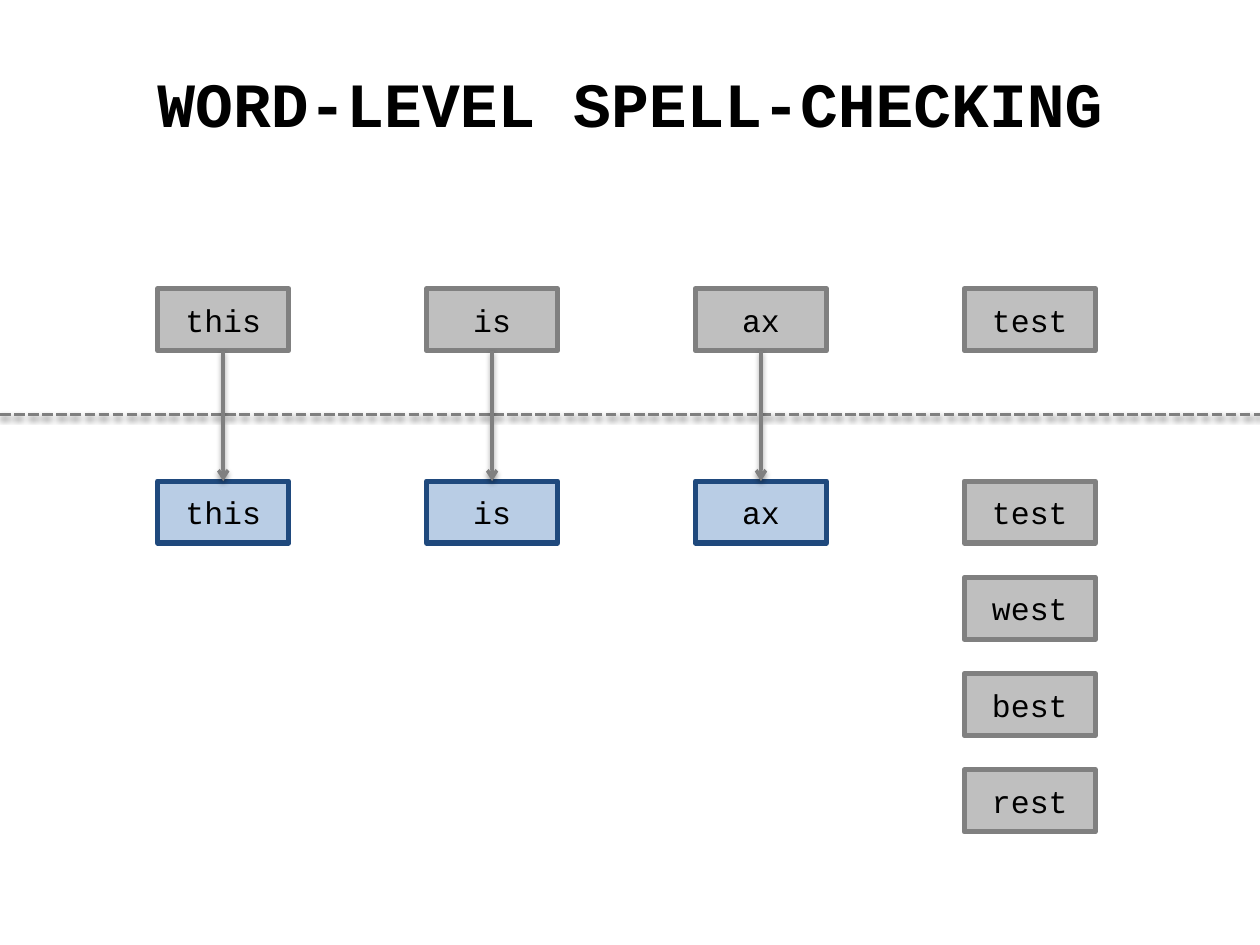
import pptx
import pptx.dml.color
import pptx.enum.dml
import pptx.enum.shapes
import pptx.enum.text
import pptx.oxml
import pptx.oxml.ns
import pptx.util
from pptx.util import Cm

RGBColor = pptx.dml.color.RGBColor
BLACK = RGBColor(0x00, 0x00, 0x00)
LIGHT_GREY = RGBColor(0xBF, 0xBF, 0xBF)
GREY = RGBColor(0x80, 0x80, 0x80)
DIVIDER_GREY = RGBColor(0x7F, 0x7F, 0x7F)
LIGHT_BLUE = RGBColor(0xB9, 0xCD, 0xE5)
DARK_BLUE = RGBColor(0x1F, 0x49, 0x7D)

SLIDE_WIDTH, SLIDE_HEIGHT = Cm(25.4), Cm(19.05)
BOX_WIDTH, BOX_HEIGHT = Cm(2.64), Cm(1.25)
LEFT, COLUMN_STEP = Cm(3.18), Cm(5.42)
TOP, ROW_STEP = Cm(5.82), Cm(1.94)
DIVIDER_Y = Cm(8.36)
CANDIDATE_ROW = 2

SHADOW = (
    f'<a:effectLst {pptx.oxml.ns.nsdecls("a")}>'
    '<a:outerShdw blurRad="40000" dist="20000" dir="5400000" rotWithShape="0">'
    '<a:srgbClr val="000000"><a:alpha val="38000"/></a:srgbClr>'
    '</a:outerShdw></a:effectLst>'
)
ARROWHEAD = f'<a:tailEnd {pptx.oxml.ns.nsdecls("a")} type="arrow"/>'


def write_text(shape, text, size, bold=False):
    """Put one centred line of text into a shape."""
    para = shape.text_frame.paragraphs[0]
    para.alignment = pptx.enum.text.PP_ALIGN.CENTER
    span = para.add_run()
    span.text = text
    span.font.color.rgb = BLACK
    font_format = {"name": "Courier New", "size": pptx.util.Pt(size), "bold": bold}
    for name, value in font_format.items():
        setattr(span.font, name, value)


def add_line(page, start, end, color):
    """Draw a straight line with a soft shadow below it."""
    line = page.shapes.add_connector(
        pptx.enum.shapes.MSO_CONNECTOR.STRAIGHT, *start, *end)
    line.line.color.rgb = color
    line.line.width = pptx.util.Pt(2)
    line._element.spPr.append(pptx.oxml.parse_xml(SHADOW))
    return line


deck = pptx.Presentation()
deck.slide_width, deck.slide_height = SLIDE_WIDTH, SLIDE_HEIGHT
page = deck.slides.add_slide(deck.slide_layouts[6])

title = page.shapes.add_textbox(0, Cm(0.94), SLIDE_WIDTH, Cm(1.8))
title_format = {
    "word_wrap": True,
    "auto_size": pptx.enum.text.MSO_AUTO_SIZE.SHAPE_TO_FIT_TEXT,
    "margin_top": Cm(0.36),
    "margin_bottom": 0,
}
for name, value in title_format.items():
    setattr(title.text_frame, name, value)
write_text(title, "WORD-LEVEL SPELL-CHECKING", 36, bold=True)

divider = add_line(page, (0, DIVIDER_Y), (SLIDE_WIDTH, DIVIDER_Y), DIVIDER_GREY)
divider.line.dash_style = pptx.enum.dml.MSO_LINE.SQUARE_DOT

# Each typed word with its candidates; a single candidate is a settled match
words = [
    ("this", ["this"]),
    ("is", ["is"]),
    ("ax", ["ax"]),
    ("test", ["test", "west", "best", "rest"]),
]
for column, (word, candidates) in enumerate(words):
    left = LEFT + column * COLUMN_STEP
    settled = len(candidates) == 1
    cells = [(0, word, LIGHT_GREY, GREY)]
    for row, candidate in enumerate(candidates, CANDIDATE_ROW):
        fill, outline = (LIGHT_BLUE, DARK_BLUE) if settled else (LIGHT_GREY, GREY)
        cells.append((row, candidate, fill, outline))

    for row, text, fill, outline in cells:
        box = page.shapes.add_shape(
            pptx.enum.shapes.MSO_SHAPE.RECTANGLE,
            left, TOP + row * ROW_STEP, BOX_WIDTH, BOX_HEIGHT)
        box.shadow.inherit = False
        box.fill.solid()
        box.fill.fore_color.rgb = fill
        box.line.color.rgb = outline
        box.line.width = pptx.util.Pt(3)
        box.text_frame.word_wrap = False
        box.text_frame.vertical_anchor = pptx.enum.text.MSO_ANCHOR.MIDDLE
        write_text(box, text, 18)

    if settled:
        center = left + BOX_WIDTH // 2
        arrow = add_line(page, (center, TOP + BOX_HEIGHT),
                         (center, TOP + CANDIDATE_ROW * ROW_STEP), GREY)
        arrow.line._get_or_add_ln().append(pptx.oxml.parse_xml(ARROWHEAD))

deck.save("out.pptx")
